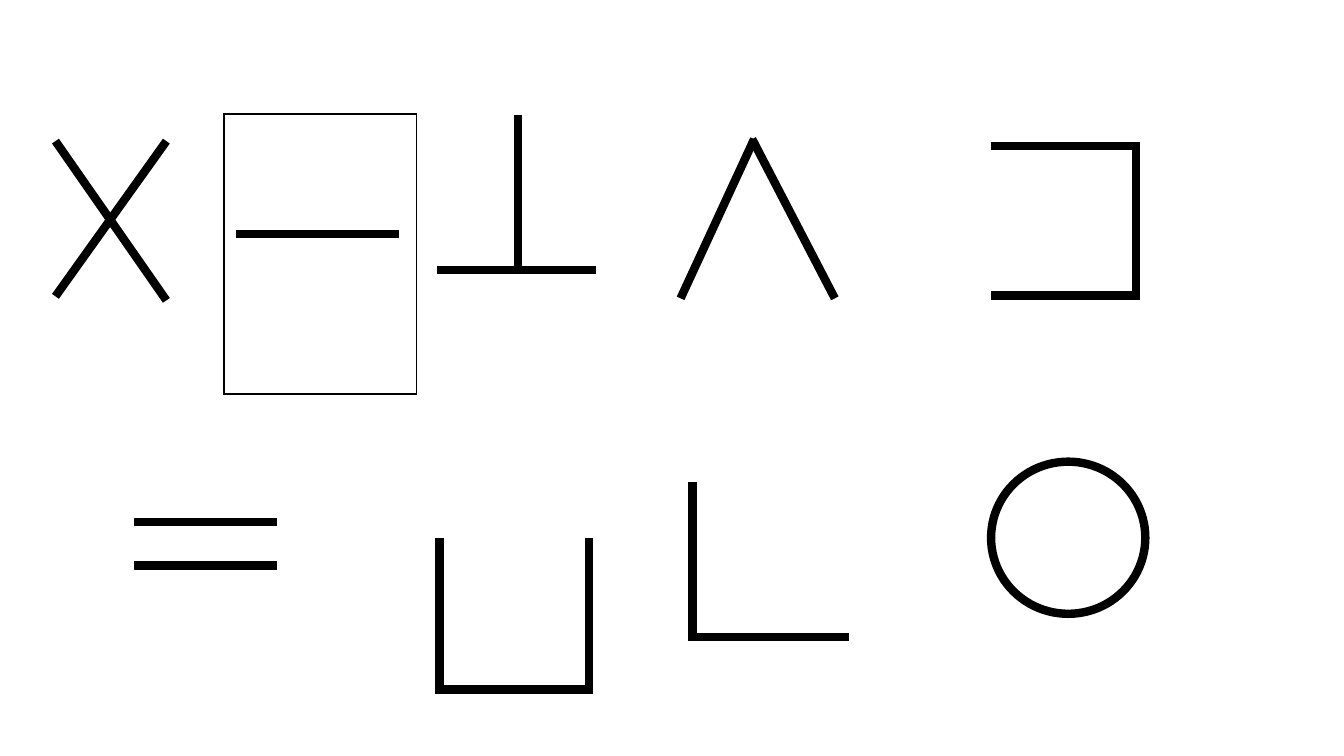
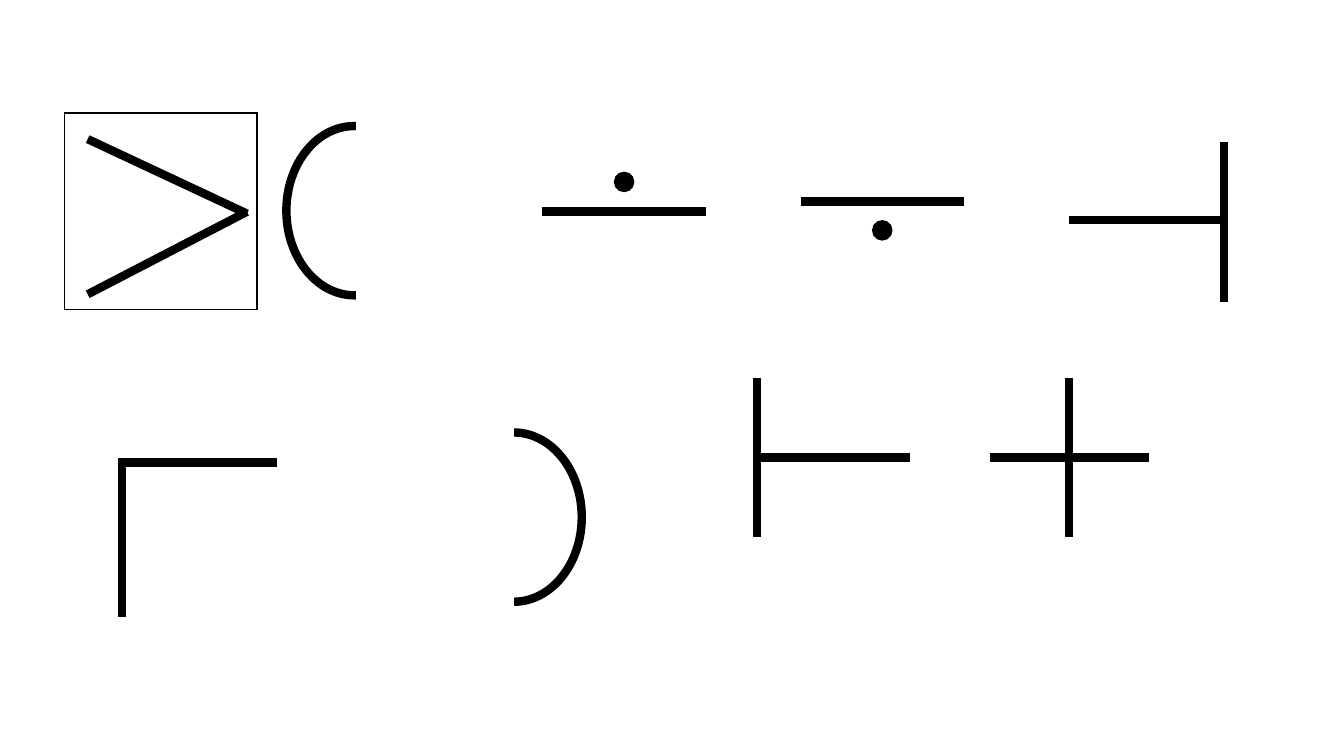
from lxml.etree import SubElement
from pptx import Presentation
from pptx.dml.color import RGBColor
from pptx.enum.shapes import MSO_CONNECTOR, MSO_SHAPE
from pptx.oxml.ns import qn
from pptx.util import Inches, Pt

COLORS = {"ink": "000000", "paper": "FFFFFF"}
CELL = Inches(0.1)  # square grid cell: 133.3 columns by 75 rows
THICK, THIN = 6, 1
DOT = 1.9


class SignBoard:
    """Holds the style, the current slide and the sign being drawn."""

    def __init__(self):
        self.presentation = Presentation()
        self.presentation.slide_width = Inches(13.33)
        self.presentation.slide_height = Inches(7.5)

    def new_slide(self):
        layout = self.presentation.slide_layouts[6]
        self.slide = self.presentation.slides.add_slide(layout)
        self.slide.background.fill.solid()
        self.slide.background.fill.fore_color.rgb = self.color("paper")
        self.shapes = self.slide.shapes

    def new_sign(self):
        self.shapes = self.slide.shapes.add_group_shape().shapes

    def color(self, name):
        return RGBColor.from_string(COLORS[name])

    def outline(self, shape, color, width):
        shape.line.color.rgb = self.color(color)
        shape.line.width = Pt(width)
        properties = shape.element.spPr
        SubElement(properties.find(qn("a:ln")), qn("a:miter"), lim="800000")

    def box(self, left, top, width, height, kind=MSO_SHAPE.RECTANGLE,
            fill="paper", line="ink", weight=THICK):
        lengths = [round(cells * CELL) for cells in (left, top, width, height)]
        shape = self.shapes.add_shape(kind, *lengths)
        shape.shadow.inherit = False
        if fill:
            shape.fill.solid()
            shape.fill.fore_color.rgb = self.color(fill)
        else:
            shape.fill.background()
        self.outline(shape, line, weight)

    def oval(self, left, top, width, height, **style):
        self.box(left, top, width, height, kind=MSO_SHAPE.OVAL, **style)

    def frame(self, left, top, width, height):
        self.shapes = self.slide.shapes
        self.box(left, top, width, height, weight=THIN)

    def cover(self, left, top, width, height):
        self.box(left, top, width, height, line="paper", weight=THIN)

    def strokes(self, *strokes):
        """Draw one sign from straight strokes (x1, y1, x2, y2)."""
        self.new_sign()
        for stroke in strokes:
            ends = [round(cells * CELL) for cells in stroke]
            connector = self.shapes.add_connector(MSO_CONNECTOR.STRAIGHT, *ends)
            self.outline(connector, "ink", THICK)
            SubElement(connector.element.spPr, qn("a:effectLst"))

    def open_box(self, box, open_side):
        self.new_sign()
        self.box(*box)
        self.cover(*open_side)

    def half_ring(self, left, top, cover_left, cover_top):
        self.new_sign()
        self.oval(left, top, 13.5, 16.8, fill=None)
        self.cover(cover_left, cover_top, 7.7, 18.9)

    def dotted_bar(self, left, bar_top, dot_top):
        length = 16.2
        self.strokes((left, bar_top, left + length, bar_top))
        self.oval(left + (length - DOT) / 2, dot_top, DOT, DOT,
                  fill="ink", weight=THIN)


board = SignBoard()

# First slide, upper row: framed bar, open box, cross, peak, upright
board.new_slide()
board.frame(22.2, 11.3, 19.1, 27.8)
board.open_box((96.6, 14.5, 16.1, 14.8), (95.1, 13.7, 3.1, 16.1))
board.strokes((5.5, 29.4, 16.5, 14), (16.5, 29.8, 5.5, 14))
board.strokes((82.8, 29.6, 74.6, 13.8), (74.8, 13.8, 67.5, 29.6))
board.strokes((23.4, 23.2, 39.6, 23.2))
board.strokes((51.4, 11.4, 51.4, 26.8), (59.1, 26.8, 43.3, 26.8))

# First slide, lower row: double bar, cup, corner, ring
board.strokes(*[(13.3, row, 27.5, row) for row in (51.8, 56.1)])
board.open_box((43.6, 52.7, 14.8, 15.7), (41.3, 51.8, 17.8, 1.5))
board.strokes((68.3, 63.2, 84.2, 63.2), (68.7, 47.8, 68.7, 63.6))
board.new_sign()
board.oval(98.3, 45.8, 15.3, 15.1)

# Second slide, upper row: framed wedge, left arc, dotted bars, left tee
board.new_slide()
board.frame(6.4, 11.2, 19.1, 19.5)
board.strokes((8.7, 29.2, 24.5, 21), (24.5, 21.2, 8.7, 13.8))
board.half_ring(28.4, 12.5, 35.4, 11.6)
board.dotted_bar(53.8, 21, 17.1)
board.dotted_bar(79.4, 20, 21.9)
board.strokes((106, 21.8, 121.4, 21.8), (121.4, 14.1, 121.4, 30))

# Second slide, lower row: corner, right arc, right tee, plus
board.strokes((11.7, 45.9, 27.5, 45.9), (12.1, 45.4, 12.1, 61.2))
board.half_ring(44.2, 42.9, 43.2, 41.7)
board.strokes((74.7, 45.4, 90.3, 45.4), (75.1, 37.5, 75.1, 53.3))
board.strokes((98.2, 45.4, 114, 45.4), (106, 37.5, 106, 53.3))

board.presentation.save("out.pptx")
